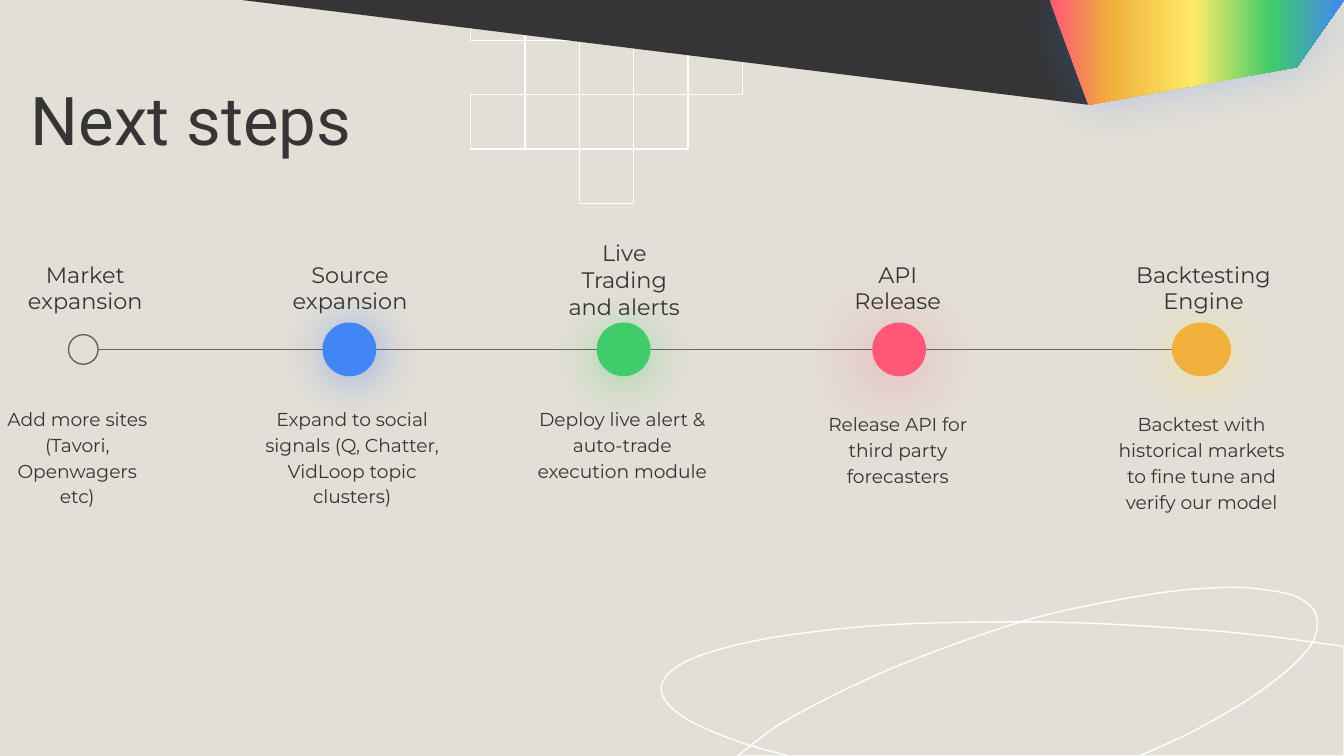
"""Build the "Next steps" timeline slide."""
from dataclasses import dataclass
from typing import Optional

from lxml import etree
from pptx import Presentation
from pptx.dml.color import RGBColor
from pptx.enum.shapes import MSO_CONNECTOR, MSO_SHAPE
from pptx.enum.text import MSO_ANCHOR, PP_ALIGN
from pptx.oxml.ns import qn
from pptx.util import Inches, Pt

RECTANGLE, OVAL = MSO_SHAPE.RECTANGLE, MSO_SHAPE.OVAL
STRAIGHT = MSO_CONNECTOR.STRAIGHT
TOP, MIDDLE = MSO_ANCHOR.TOP, MSO_ANCHOR.MIDDLE
LEFT, CENTER = PP_ALIGN.LEFT, PP_ALIGN.CENTER

SAND, INK, WHITE, BROWN = "E3DFD6", "353535", "FFFFFF", "69615E"
BLUE, GREEN, PINK, ORANGE, YELLOW = "4285F4", "41CC6B", "FF5777", "F0B03B", "FFEB67"
SLIDE_WIDTH = 10
SLIDE_HEIGHT = SLIDE_WIDTH * 9 / 16
LINE_WIDTH = 0.75
TIMELINE_Y = 2.6
GRID_LEFT, GRID_TOP, GRID_STEP = 3.5, 0.3, 0.405
GRID_ROWS = [(1, 2, 4), (0, 1, 2, 3), (2,)]
RAINBOW = [(0, PINK), (21, ORANGE), (49, YELLOW), (75, GREEN), (100, BLUE)]

Point = tuple[float, float]

TILTED_RING = [
    (5.49, SLIDE_HEIGHT), (5.77, 5.41), (6.15, 5.2), (6.62, 4.98), (7.14, 4.78), (7.69, 4.6),
    (8.23, 4.48), (8.72, 4.4), (9.15, 4.37), (9.42, 4.39), (9.62, 4.43), (9.75, 4.51),
    (9.8, 4.61), (9.78, 4.75), (9.69, 4.88), (9.54, 5.02), (9.28, 5.21), (8.88, 5.44),
    (8.48, SLIDE_HEIGHT),
]
FLAT_RING = [
    (10, 4.81), (9.31, 4.72), (8.55, 4.66), (7.85, 4.63), (7.2, 4.63), (6.59, 4.65),
    (6.06, 4.7), (5.61, 4.77), (5.23, 4.87), (5.01, 4.98), (4.92, 5.11), (4.97, 5.24),
    (5.11, 5.35), (5.27, 5.43), (5.47, 5.51), (5.66, 5.57), (5.87, SLIDE_HEIGHT),
]


@dataclass
class Glow:
    color: str
    alpha: int
    blur: float
    distance: float
    angle: int


@dataclass
class TextBox:
    text: str
    left: float
    top: float
    width: float


@dataclass
class Step:
    label: TextBox
    description: TextBox
    dot_left: float
    dot_width: float
    dot_height: float
    color: str
    glow: Optional[Glow] = None


STEPS = [
    Step(TextBox("Market expansion", 0.03, 1.94, 1.21),
         TextBox("Add more sites (Tavori, Openwagers etc)", -0.06, 2.91, 1.27),
         0.51, 0.22, 0.22, SAND),
    Step(TextBox("Source expansion", 2, 1.94, 1.21),
         TextBox("Expand to social signals (Q, Chatter, VidLoop topic clusters)", 1.82, 2.91, 1.6),
         2.4, 0.4, 0.4, BLUE, Glow(BLUE, 56, 25.9, 2.2, 45)),
    Step(TextBox("Live Trading and alerts", 4.07, 1.88, 1.15),
         TextBox("Deploy live alert & auto-trade execution module", 3.83, 2.91, 1.6),
         4.44, 0.4, 0.4, GREEN, Glow(GREEN, 50, 27, 3, 90)),
    Step(TextBox("API Release", 6.23, 1.94, 0.9),
         TextBox("Release API for third party forecasters", 5.88, 2.95, 1.6),
         6.49, 0.4, 0.4, PINK, Glow(PINK, 50, 38.2, 6, 130)),
    Step(TextBox("Backtesting Engine", 8.32, 1.94, 1.27),
         TextBox("Backtest with historical markets to fine tune and verify our model", 8.14, 2.95, 1.6),
         8.72, 0.44, 0.4, ORANGE, Glow(YELLOW, 50, 27, 3, 90)),
]


def rgb(color: str) -> RGBColor:
    return RGBColor.from_string(color)


def add_color(parent, color: str):
    return etree.SubElement(parent, qn("a:srgbClr"), val=color)


def style_shape(shape, fill: Optional[str] = None, line: Optional[str] = None,
                glow: Optional[Glow] = None) -> None:
    if fill:
        shape.fill.solid()
        shape.fill.fore_color.rgb = rgb(fill)
    else:
        shape.fill.background()
    if line:
        shape.line.color.rgb = rgb(line)
        shape.line.width = Pt(LINE_WIDTH)
    else:
        shape.line.fill.background()
    shape.shadow.inherit = False
    if glow:
        effects = shape._element.spPr.find(qn("a:effectLst"))
        shadow = etree.SubElement(
            effects, qn("a:outerShdw"), blurRad=str(Pt(glow.blur)), dist=str(Pt(glow.distance)),
            dir=str(glow.angle * 60000), algn="bl", rotWithShape="0")
        etree.SubElement(add_color(shadow, glow.color), qn("a:alpha"), val=str(glow.alpha * 1000))


def fill_gradient(shape, stops: list[tuple[int, str]]) -> None:
    shape.fill.gradient()
    shape.fill.gradient_angle = 0
    stop_list = shape._element.spPr.find(qn("a:gradFill")).find(qn("a:gsLst"))
    for stop in list(stop_list):
        stop_list.remove(stop)
    for position, color in stops:
        add_color(etree.SubElement(stop_list, qn("a:gs"), pos=str(position * 1000)), color)


def smooth(points: list[Point], steps: int = 6) -> list[Point]:
    """Return a Catmull-Rom curve through the points."""
    padded = [points[0], *points, points[-1]]
    curve = []
    for a, b, c, d in zip(padded, padded[1:], padded[2:], padded[3:]):
        for index in range(steps):
            t = index / steps
            curve.append(tuple(
                0.5 * (2 * q + (r - p) * t + (2 * p - 5 * q + 4 * r - s) * t ** 2
                       + (3 * q - p - 3 * r + s) * t ** 3)
                for p, q, r, s in zip(a, b, c, d)))
    return curve + [points[-1]]


def add_outline(slide, points: list[Point]):
    corners = [(Inches(x), Inches(y)) for x, y in points]
    builder = slide.shapes.build_freeform(*corners[0], scale=1.0)
    builder.add_line_segments(corners[1:], close=True)
    return builder.convert_to_shape()


def add_preset(slide, kind, left: float, top: float, width: float, height: float):
    return slide.shapes.add_shape(kind, Inches(left), Inches(top), Inches(width), Inches(height))


def write_text(shape, text: str, font: str, size: int, spacing: float, align, anchor) -> None:
    frame = shape.text_frame
    frame.text = text
    frame.word_wrap = True
    frame.vertical_anchor = anchor
    frame.margin_left = frame.margin_right = frame.margin_top = frame.margin_bottom = Inches(0.1)
    paragraph = frame.paragraphs[0]
    paragraph.alignment = align
    paragraph.line_spacing = spacing
    paragraph.space_before = Pt(0)
    run_font = paragraph.runs[0].font
    run_font.name, run_font.size, run_font.color.rgb = font, Pt(size), rgb(INK)


def add_text(slide, box: TextBox, height: float, size: int, spacing: float, anchor) -> None:
    shape = slide.shapes.add_textbox(
        Inches(box.left), Inches(box.top), Inches(box.width), Inches(height))
    write_text(shape, box.text, "Montserrat", size, spacing, CENTER, anchor)


def add_title(slide, text: str) -> None:
    title = slide.shapes.title
    title.left, title.top, title.width, title.height = (
        Inches(0.13), Inches(0.55), Inches(4.31), Inches(0.75))
    write_text(title, text, "Roboto", 36, 0.9, LEFT, TOP)


def add_decoration(slide) -> None:
    for column in range(5):
        style_shape(add_preset(slide, RECTANGLE, GRID_LEFT + column * GRID_STEP, 0.17,
                               GRID_STEP, GRID_TOP - 0.17), line=WHITE)
    for row, columns in enumerate(GRID_ROWS):
        for column in columns:
            style_shape(add_preset(slide, RECTANGLE, GRID_LEFT + column * GRID_STEP,
                                   GRID_TOP + row * GRID_STEP, GRID_STEP, GRID_STEP), line=WHITE)
    style_shape(add_outline(slide, smooth(TILTED_RING)), line=WHITE)
    style_shape(add_outline(slide, smooth(FLAT_RING) + [(SLIDE_WIDTH, SLIDE_HEIGHT)]), line=WHITE)
    style_shape(add_outline(slide, [(1.8, 0), (8.1, 0.78), (7.82, 0)]), fill=INK)
    rainbow = add_outline(slide, [(8.1, 0.78), (9.65, 0.5), (10, 0), (7.81, 0)])
    style_shape(rainbow, glow=Glow(BLUE, 24, 24.8, 2.2, 90))
    fill_gradient(rainbow, RAINBOW)


def add_timeline(slide) -> None:
    axis = slide.shapes.add_connector(
        STRAIGHT, Inches(0.58), Inches(TIMELINE_Y), Inches(8.98), Inches(TIMELINE_Y))
    axis.line.color.rgb = rgb(BROWN)
    axis.line.width = Pt(LINE_WIDTH)
    etree.SubElement(axis._element.spPr, qn("a:effectLst"))
    for step in STEPS:
        dot = add_preset(slide, OVAL, step.dot_left, TIMELINE_Y - step.dot_height / 2,
                         step.dot_width, step.dot_height)
        style_shape(dot, step.color, None if step.glow else BROWN, step.glow)
        add_text(slide, step.label, 0.4, 12, 1.0, MIDDLE)
        add_text(slide, step.description, 1.16, 10, 1.15, TOP)


def main() -> None:
    presentation = Presentation()
    presentation.slide_width = Inches(SLIDE_WIDTH)
    presentation.slide_height = Inches(SLIDE_HEIGHT)
    slide = presentation.slides.add_slide(presentation.slide_layouts[5])
    slide.background.fill.solid()
    slide.background.fill.fore_color.rgb = rgb(SAND)
    add_decoration(slide)
    add_timeline(slide)
    add_title(slide, "Next steps")
    presentation.save("out.pptx")


if __name__ == "__main__":
    main()
